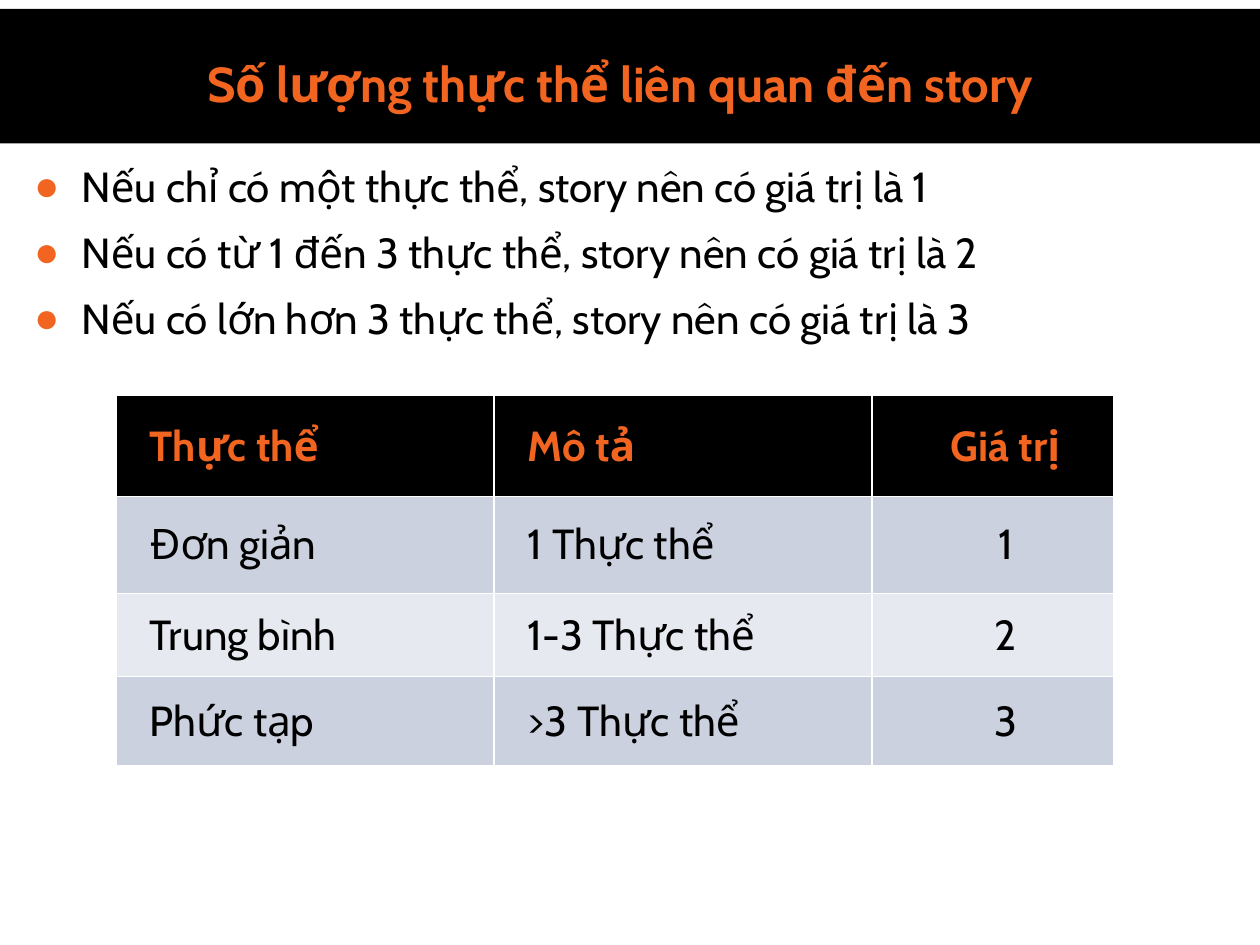
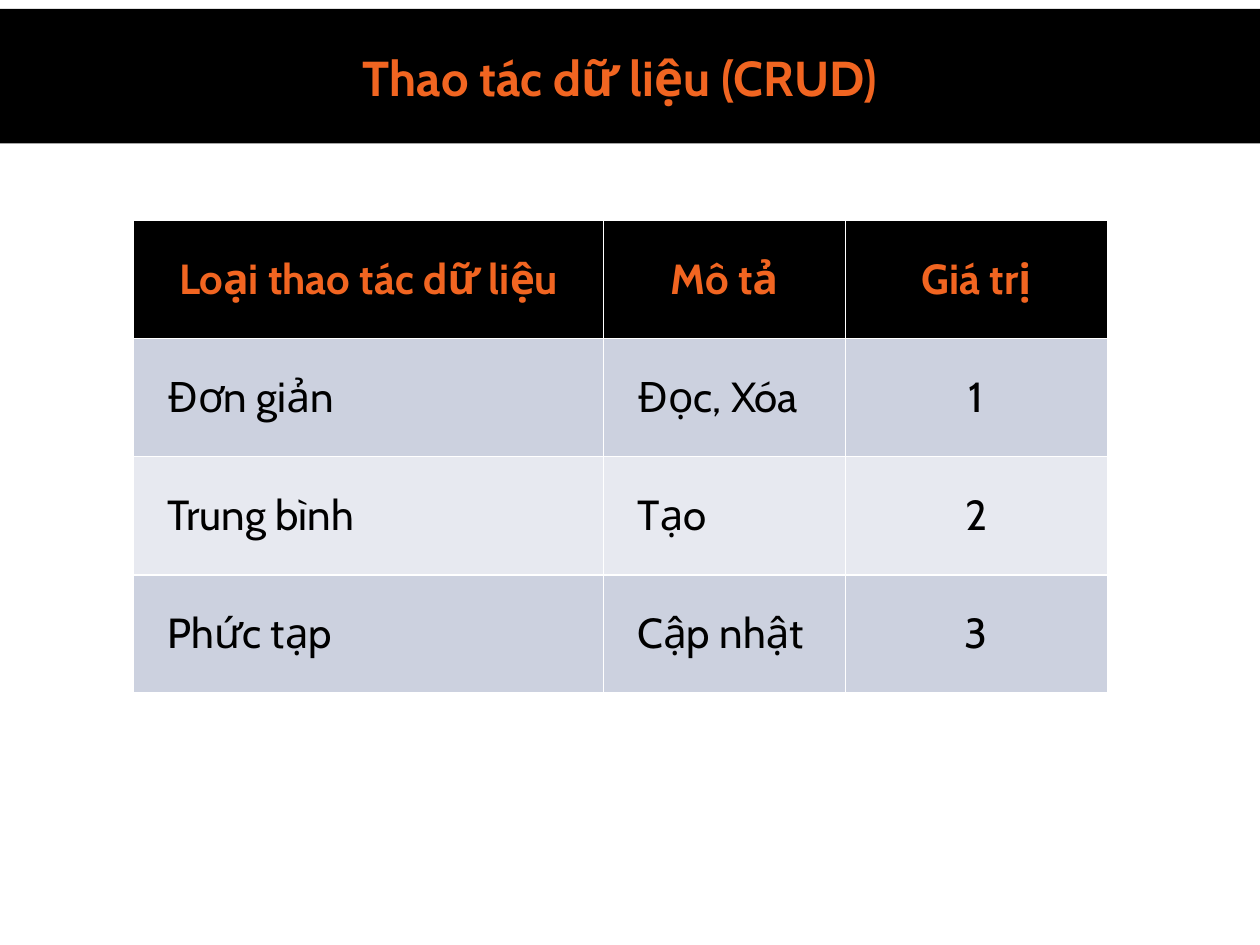
from lxml import etree
from pptx import Presentation
from pptx.dml.color import RGBColor
from pptx.enum.shapes import MSO_SHAPE
from pptx.enum.text import MSO_ANCHOR, MSO_AUTO_SIZE, PP_ALIGN
from pptx.oxml.ns import qn
from pptx.util import Pt

RECTANGLE = MSO_SHAPE.RECTANGLE
TOP, MIDDLE = MSO_ANCHOR.TOP, MSO_ANCHOR.MIDDLE
NO_AUTOFIT = MSO_AUTO_SIZE.NONE
LEFT, CENTER = PP_ALIGN.LEFT, PP_ALIGN.CENTER

THEME = {
    "font": "Cabin",
    "black": RGBColor.from_string("000000"),
    "orange": RGBColor.from_string("F16521"),
    "row_fills": [RGBColor.from_string("CCD1DF"), RGBColor.from_string("E7E9F0")],
    "title_size": Pt(28),
    "text_size": Pt(24),
}
TITLE_FONT = {"name": THEME["font"], "size": THEME["title_size"], "bold": True}
HEADER_FONT = {"name": THEME["font"], "size": THEME["text_size"], "bold": True}
TEXT_FONT = {"name": THEME["font"], "size": THEME["text_size"], "bold": False}
HEADING_SPACING = {"line_spacing": 1.1, "space_before": Pt(6), "space_after": Pt(0)}
CELL_SPACING = {"space_before": Pt(0), "space_after": Pt(1.5)}
PLACEHOLDER_FRAME = {"word_wrap": True, "auto_size": NO_AUTOFIT, "vertical_anchor": TOP}
CELL_FORMAT = {"vertical_anchor": MIDDLE, "margin_left": Pt(5), "margin_right": Pt(5),
               "margin_top": Pt(5), "margin_bottom": Pt(5)}
CELL_INDENT = Pt(14.4)
BULLET_INDENT = Pt(27)

SLIDES = [
    {
        "title": "Số lượng thực thể liên quan đến story",
        "title_top": 23.76,
        "bullets": [
            "Nếu chỉ có một thực thể, story nên có giá trị là 1",
            "Nếu có từ 1 đến 3 thực thể, story nên có giá trị là 2",
            "Nếu có lớn hơn 3 thực thể, story nên có giá trị là 3",
        ],
        "table_at": (66.24, 226.08),
        "column_widths": [216, 216, 138.24],
        "row_heights": [57.6, 55.44, 47.52, 51.12],
        "header_aligns": [LEFT, LEFT, CENTER],
        "indent_centered": True,
        "rows": [
            ["Thực thể", "Mô tả", "Giá trị"],
            ["Đơn giản", "1 Thực thể", "1"],
            ["Trung bình", "1-3 Thực thể", "2"],
            ["Phức tạp", ">3 Thực thể", "3"],
        ],
    },
    {
        "title": "Thao tác dữ liệu (CRUD)",
        "title_top": 20.16,
        "bullets": [],
        "table_at": (76.32, 126),
        "column_widths": [268.56, 138.24, 149.76],
        "row_heights": [67.5] * 4,
        "header_aligns": [CENTER] * 3,
        "indent_centered": False,
        "rows": [
            ["Loại thao tác dữ liệu", "Mô tả", "Giá trị"],
            ["Đơn giản", "Đọc, Xóa", "1"],
            ["Trung bình", "Tạo", "2"],
            ["Phức tạp", "Cập nhật", "3"],
        ],
    },
]
BODY_ALIGNS = [LEFT, LEFT, CENTER]


def apply(target, formats):
    for name, value in formats.items():
        setattr(target, name, value)


def write(para, text, font, color, spacing, align):
    """Add one formatted span to a paragraph."""
    apply(para, spacing)
    para.alignment = align
    span = para.add_run()
    span.text = text
    apply(span.font, font)
    span.font.color.rgb = color


deck = Presentation()
deck.slide_width, deck.slide_height = Pt(720), Pt(540)
content_layout, title_layout = deck.slide_layouts[1], deck.slide_layouts[5]

for content in SLIDES:
    page = deck.slides.add_slide(content_layout if content["bullets"] else title_layout)

    # Black band behind the title
    band = page.shapes.add_shape(RECTANGLE, Pt(0), Pt(5.04), deck.slide_width, Pt(77))
    band.shadow.inherit = False
    band.fill.solid()
    band.fill.fore_color.rgb = THEME["black"]
    band.line.fill.background()
    page.shapes.title._element.addprevious(band._element)

    title = page.shapes.title
    apply(title, {"left": Pt(12.24), "top": Pt(content["title_top"]),
                  "width": Pt(684), "height": Pt(41.76)})
    apply(title.text_frame, PLACEHOLDER_FRAME)
    write(title.text_frame.paragraphs[0], content["title"], TITLE_FONT,
          THEME["orange"], HEADING_SPACING, CENTER)

    if content["bullets"]:
        body = page.placeholders[1]
        apply(body, {"left": Pt(12.24), "top": Pt(85.5), "width": Pt(684), "height": Pt(136)})
        apply(body.text_frame, PLACEHOLDER_FRAME)
        for index, text in enumerate(content["bullets"]):
            frame = body.text_frame
            para = frame.add_paragraph() if index else frame.paragraphs[0]
            write(para, text, TEXT_FONT, THEME["black"], HEADING_SPACING, LEFT)
            properties = para._p.get_or_add_pPr()
            properties.set("marL", str(BULLET_INDENT))
            properties.set("indent", str(-BULLET_INDENT))
            bullet_color = etree.SubElement(properties, qn("a:buClr"))
            etree.SubElement(bullet_color, qn("a:srgbClr"), val=str(THEME["orange"]))
            etree.SubElement(properties, qn("a:buChar"), char="●")

    # The default table style draws the white rules and the thick one under the header
    left, top = content["table_at"]
    widths, heights, rows = content["column_widths"], content["row_heights"], content["rows"]
    table = page.shapes.add_table(len(rows), len(widths), Pt(left), Pt(top),
                                  Pt(sum(widths)), Pt(sum(heights))).table
    for column, width in zip(table.columns, widths):
        column.width = Pt(width)
    for row_index, (row, height) in enumerate(zip(rows, heights)):
        table.rows[row_index].height = Pt(height)
        is_header = row_index == 0
        aligns = content["header_aligns"] if is_header else BODY_ALIGNS
        font = HEADER_FONT if is_header else TEXT_FONT
        color = THEME["orange"] if is_header else THEME["black"]
        fill = THEME["black"] if is_header else THEME["row_fills"][(row_index - 1) % 2]
        for column_index, (text, align) in enumerate(zip(row, aligns)):
            cell = table.cell(row_index, column_index)
            apply(cell, CELL_FORMAT)
            cell.fill.solid()
            cell.fill.fore_color.rgb = fill
            para = cell.text_frame.paragraphs[0]
            write(para, text, font, color, CELL_SPACING, align)
            if align == LEFT or content["indent_centered"]:
                para._p.get_or_add_pPr().set("marL", str(CELL_INDENT))

deck.save("out.pptx")
